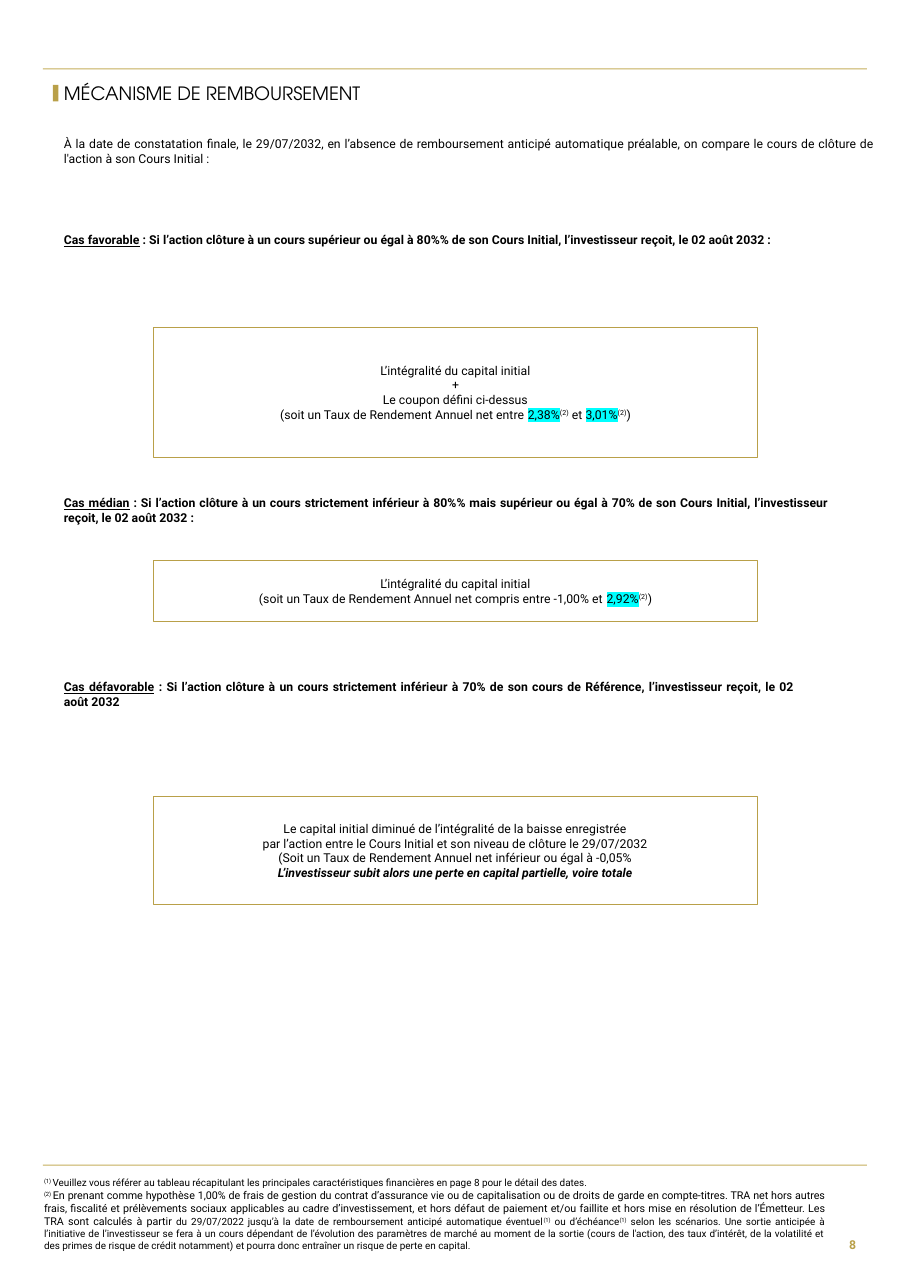
from dataclasses import dataclass

from lxml import etree
from pptx import Presentation
from pptx import util as u
from pptx.dml.color import RGBColor
from pptx.enum import shapes, text
from pptx.oxml.ns import qn

COLOURS = {"gold": "B9A049", "rule": "C5AF5C", "ink": "000000", "mark": "00FFFF"}
BODY_FONT, TITLE_FONT = "Roboto", "TeX Gyre Adventor"
ALIGN, ANCHOR = text.PP_ALIGN, text.MSO_ANCHOR


@dataclass
class Span:
    words: str
    size: float | None = None
    bold: bool = False
    italic: bool = False
    underline: bool = False
    raised: bool = False
    marked: bool = False


@dataclass
class Case:
    name: str
    condition: str
    top: float
    width: float
    height: float
    box_top: float
    box_height: float
    outcome: list[list[Span]]


def rgb(name: str) -> RGBColor:
    return RGBColor.from_string(COLOURS[name])


def write(box, paras: list[list[Span]], *, size: float = 8, font: str = BODY_FONT,
          colour: str = "ink", align=ALIGN.JUSTIFY, anchor=ANCHOR.TOP,
          inset: tuple[float, float] = (0, 0), spacing: float | None = None) -> None:
    """Fill a box with formatted paragraphs."""
    frame = box.text_frame
    frame.word_wrap = True
    frame.auto_size = text.MSO_AUTO_SIZE.NONE
    frame.vertical_anchor = anchor
    frame.margin_left = frame.margin_right = u.Inches(inset[0])
    frame.margin_top = frame.margin_bottom = u.Inches(inset[1])
    for index, spans in enumerate(paras):
        para = frame.paragraphs[0] if index == 0 else frame.add_paragraph()
        para.alignment = align
        para.space_before = u.Pt(0)
        if spacing:
            para.line_spacing = spacing
        for span in spans:
            run = para.add_run()
            run.text = span.words
            run.font.size = u.Pt(span.size or size)
            run.font.name = font
            run.font.bold, run.font.italic = span.bold, span.italic
            run.font.underline = span.underline
            run.font.color.rgb = rgb(colour)
            properties = run._r.get_or_add_rPr()
            if span.raised:
                properties.set("baseline", "30000")
            if span.marked:
                highlight = etree.Element(qn("a:highlight"))
                etree.SubElement(highlight, qn("a:srgbClr"), val=COLOURS["mark"])
                properties.find(qn("a:solidFill")).addnext(highlight)


def add_text(page, place: tuple[float, ...], paras: list[list[Span]], **style) -> None:
    write(page.shapes.add_textbox(*map(u.Inches, place)), paras, **style)


def add_rectangle(page, place: tuple[float, ...], *, fill: str = "", line: str = ""):
    box = page.shapes.add_shape(shapes.MSO_SHAPE.RECTANGLE, *map(u.Inches, place))
    box.shadow.inherit = False
    if fill:
        box.fill.solid()
        box.fill.fore_color.rgb = rgb(fill)
    else:
        box.fill.background()
    if line:
        box.line.color.rgb = rgb(line)
        box.line.width = u.Pt(0.5)
    else:
        box.line.fill.background()
    return box


def add_case(page, case: Case) -> None:
    """Condition sentence, then the framed outcome."""
    add_text(page, (0.58, case.top, case.width, case.height),
             [[Span(case.name, bold=True, underline=True),
               Span(f" : {case.condition}", bold=True)]])
    frame = add_rectangle(page, (1.39, case.box_top, 5.49, case.box_height), line="gold")
    write(frame, case.outcome, align=ALIGN.CENTER, anchor=ANCHOR.MIDDLE, inset=(0.12, 0.08))


NOTE_1, NOTE_2 = Span("(1)", raised=True), Span("(2)", raised=True)

CASES = [
    Case("Cas favorable",
         "Si l’action clôture à un cours supérieur ou égal à 80%% de son Cours Initial, "
         "l’investisseur reçoit, le 02 août 2032 :",
         2.11, 6.64, 0.13, 2.97, 1.18,
         [[Span("L’intégralité du capital initial")],
          [Span("+")],
          [Span("Le coupon défini ci-dessus")],
          [Span("(soit un Taux de Rendement Annuel net entre "), Span("2,38%", marked=True),
           NOTE_2, Span(" et "), Span("3,01%", marked=True), NOTE_2, Span(")")]]),
    Case("Cas médian",
         "Si l’action clôture à un cours strictement inférieur à 80%% mais supérieur ou égal "
         "à 70% de son Cours Initial, l’investisseur reçoit, le 02 août 2032 :",
         4.5, 6.95, 0.27, 5.09, 0.55,
         [[Span("L’intégralité du capital initial")],
          [Span("(soit un Taux de Rendement Annuel net compris entre -1,00% et "),
           Span("2,92%", marked=True), NOTE_2, Span(")")]]),
    Case("Cas défavorable",
         "Si l’action clôture à un cours strictement inférieur à 70% de son cours de "
         "Référence, l’investisseur reçoit, le 02 août 2032",
         6.17, 6.64, 0.27, 7.23, 0.98,
         [[Span("Le capital initial diminué de l’intégralité de la baisse enregistrée")],
          [Span("par l’action entre le Cours Initial et son niveau de clôture le 29/07/2032")],
          [Span("(Soit un Taux de Rendement Annuel net inférieur ou égal à -0,05%")],
          [Span("L’investisseur subit alors une perte en capital partielle, voire totale",
                bold=True, italic=True)]]),
]

FOOTNOTES = [
    [Span("(1) ", raised=True),
     Span("Veuillez vous référer au tableau récapitulant les principales caractéristiques "
          "financières en page 8 pour le détail des dates.")],
    [Span("(2) ", raised=True),
     Span("En prenant comme hypothèse 1,00% de frais de gestion du contrat d’assurance vie ou "
          "de capitalisation ou de droits de garde en compte-titres. TRA net hors autres frais, "
          "fiscalité et prélèvements sociaux applicables au cadre d’investissement, et hors "
          "défaut de paiement et/ou faillite et hors mise en résolution de l’Émetteur. Les TRA "
          "sont calculés à partir ", size=7),
     Span("du 29/07/2022 jusqu’à la date de remboursement anticipé automatique éventuel"),
     NOTE_1, Span(" ou d’échéance"), NOTE_1,
     Span(" selon les scénarios. Une sortie anticipée à l’initiative de l’investisseur se fera "
          "à un cours dépendant de l’évolution des paramètres de marché au moment de la sortie "
          "(cours de l'action, des taux d’intérêt, de la volatilité et des primes de risque de "
          "crédit notamment) et pourra donc entraîner un risque de perte en capital.")],
]


def main() -> None:
    deck = Presentation()
    deck.slide_width, deck.slide_height = u.Inches(8.27), u.Inches(11.69)
    page = deck.slides.add_slide(deck.slide_layouts[5])

    # Rules and title
    for top in (0.62, 10.57):
        add_rectangle(page, (0.39, top, 7.48, 0.01), fill="rule")
    add_rectangle(page, (0.48, 0.77, 0.05, 0.15), fill="gold")
    title = page.shapes.title
    title.left, title.top, title.width, title.height = map(u.Inches, (0.58, 0.73, 4.21, 0.25))
    write(title, [[Span("MÉCANISME DE REMBOURSEMENT")]], size=12, font=TITLE_FONT,
          align=ALIGN.LEFT, anchor=ANCHOR.MIDDLE, spacing=0.9)

    # Introduction and the three cases
    add_text(page, (0.58, 1.24, 7.37, 0.27),
             [[Span("À la date de constatation finale, le 29/07/2032, en l’absence de "
                    "remboursement anticipé automatique préalable, on compare le cours de "
                    "clôture de l'action à son Cours Initial :")]])
    for case in CASES:
        add_case(page, case)

    # Footnotes and page number
    add_text(page, (0.4, 10.68, 7.09, 0.68), FOOTNOTES, size=6.5)
    add_text(page, (7.48, 11.09, 0.39, 0.42), [[Span("8", bold=True)]], colour="gold",
             align=ALIGN.RIGHT, anchor=ANCHOR.MIDDLE, inset=(0.1, 0.05))

    deck.save("out.pptx")


if __name__ == "__main__":
    main()
